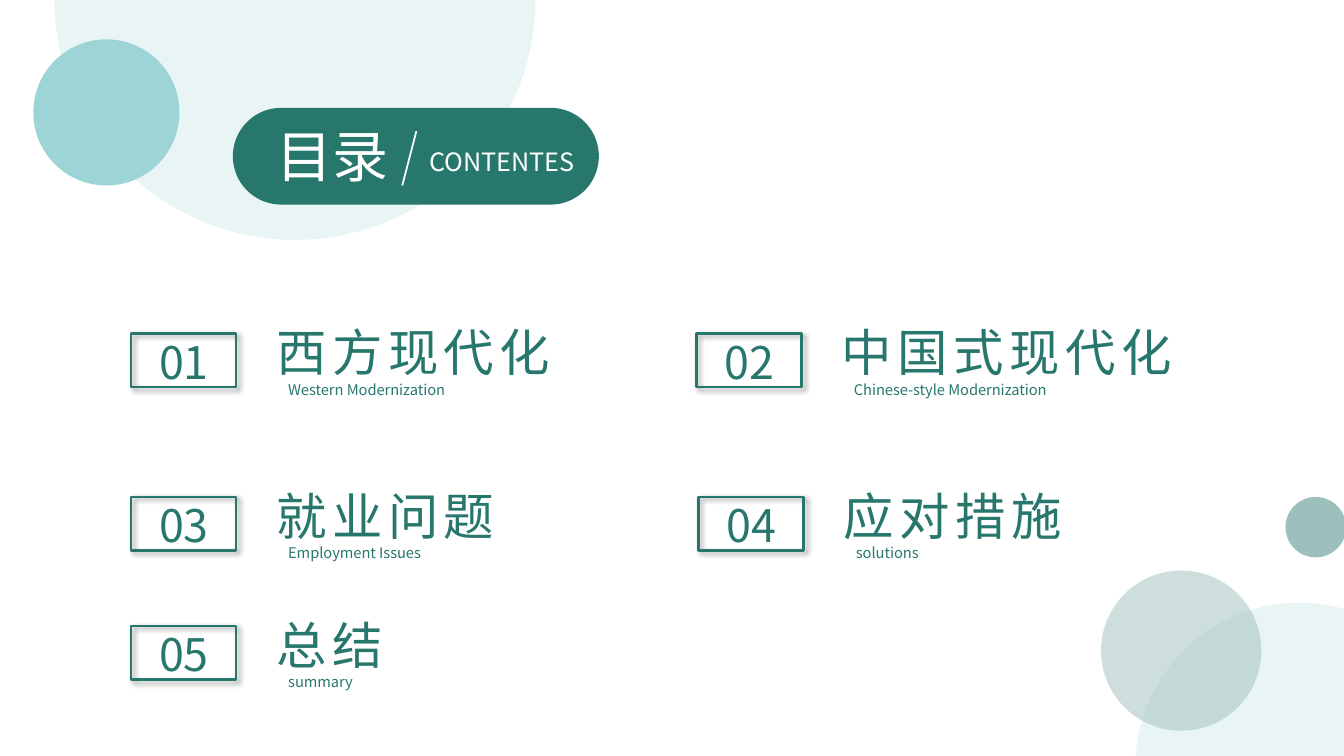
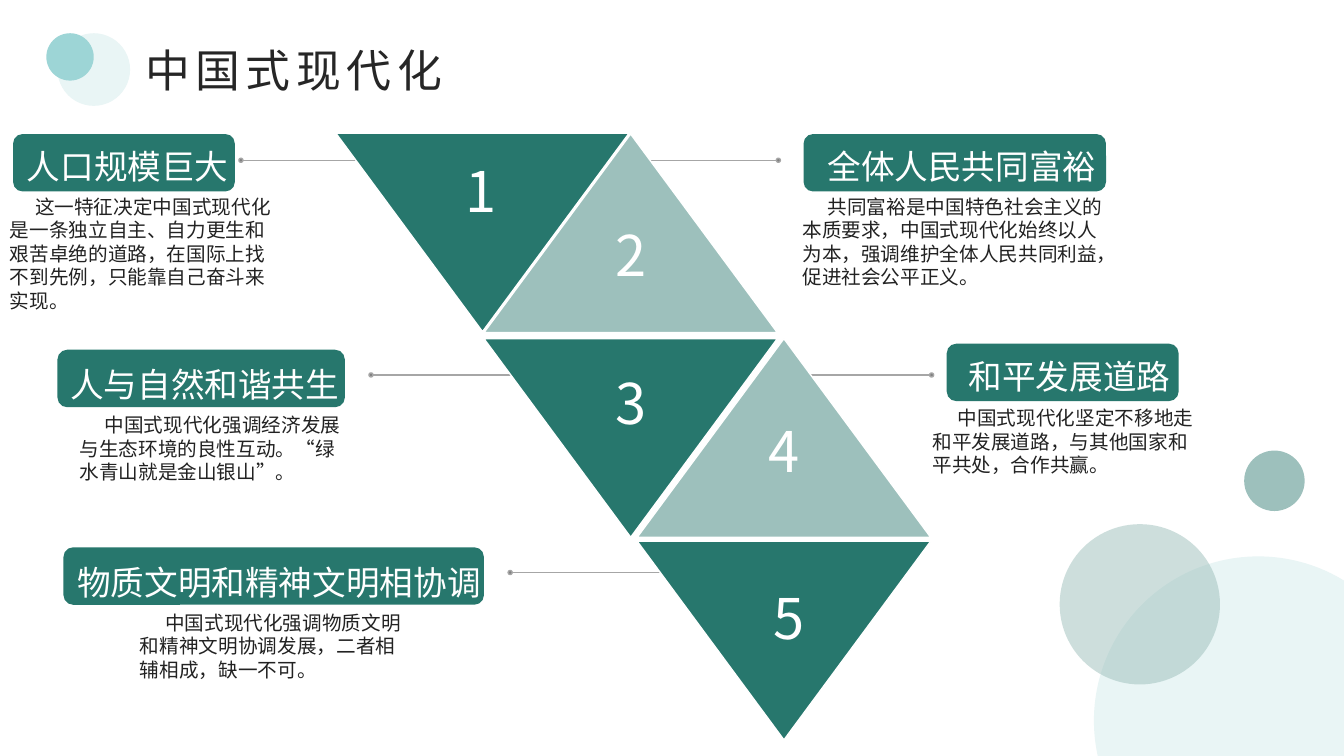
from lxml.etree import SubElement
from pptx import Presentation
from pptx.dml.color import RGBColor
from pptx.enum.lang import MSO_LANGUAGE_ID
from pptx.enum.shapes import MSO_CONNECTOR, MSO_SHAPE
from pptx.enum.text import MSO_ANCHOR, PP_ALIGN
from pptx.oxml.ns import qn
from pptx.util import Emu, Pt

EMU_PER_PX = 9144  # 100 px to the inch
FONT = "Noto Sans CJK SC"
COLORS = {
    "green": "27776D",
    "sage": "9DC0BC",
    "aqua": "9DD5D6",
    "mist": "E9F5F5",
    "title": "262626",
    "body": "222222",
    "line": "A6A6A6",
    "dot": "808080",
    "shadow": "000000",
    "white": "FFFFFF",
}

# left, top of the number frame, number, heading, English heading
CONTENTS = [
    (130, 331, "01", "西方现代化", "Western Modernization"),
    (691, 331, "02", "中国式现代化", "Chinese-style Modernization"),
    (130, 493, "03", "就业问题", "Employment Issues"),
    (693, 493, "04", "应对措施", "solutions"),
    (130, 621, "05", "总结", "summary"),
]

# dot end of the line, height, direction towards the triangles
POINTERS = [(926, 372, -1), (237, 159, 1), (366, 372, 1), (774, 159, -1), (504, 568, 1)]

# left, top, points up, number, number left, number top
TRIANGLES = [
    (480, 133, True, "2", 599, 214),
    (333, 132, False, "1", 451, 150),
    (480, 336, False, "3", 599, 361),
    (632, 336, True, "4", 751, 408),
    (632, 537, False, "5", 756, 574),
]

# label box, label text inset (left, top), label, body box, body
FEATURES = [
    ((13, 133, 220, 57), (11, 7), "人口规模巨大", (0, 188, 287, 128),
     "这一特征决定中国式现代化是一条独立自主、自力更生和艰苦卓绝的道路，"
     "在国际上找不到先例，只能靠自己奋斗来实现。"),
    ((57, 347, 285, 57), (10, 11), "人与自然和谐共生", (69, 405, 287, 81),
     "中国式现代化强调经济发展与生态环境的良性互动。“绿水青山就是金山银山”。"),
    ((797, 133, 300, 57), (21, 7), "全体人民共同富裕", (786, 188, 321, 104),
     "共同富裕是中国特色社会主义的本质要求，中国式现代化始终以人为本，"
     "强调维护全体人民共同利益，促进社会公平正义。"),
    ((939, 341, 230, 57), (19, 7), "和平发展道路", (915, 398, 287, 81),
     "中国式现代化坚定不移地走和平发展道路，与其他国家和平共处，合作共赢。"),
    ((63, 543, 417, 57), (11, 12), "物质文明和精神文明相协调", (129, 601, 287, 81),
     "中国式现代化强调物质文明和精神文明协调发展，二者相辅相成，缺一不可。"),
]


def px(length):
    return Emu(length * EMU_PER_PX)


def rgb(name):
    return RGBColor.from_string(COLORS[name])


def add_shape(slide, kind, box, fill=None, line=None, line_width=1):
    shape = slide.shapes.add_shape(kind, *map(px, box))
    shape.shadow.inherit = False
    if fill:
        shape.fill.solid()
        shape.fill.fore_color.rgb = rgb(fill)
    else:
        shape.fill.background()
    if line:
        shape.line.color.rgb = rgb(line)
        shape.line.width = Pt(line_width)
    else:
        shape.line.fill.background()
    return shape


def add_circle(slide, left, top, diameter, fill, line=None):
    return add_shape(slide, MSO_SHAPE.OVAL, (left, top, diameter, diameter), fill, line)


def add_line(slide, start, end, color, width):
    connector = slide.shapes.add_connector(
        MSO_CONNECTOR.STRAIGHT, *map(px, (*start, *end)))
    connector.line.color.rgb = rgb(color)
    connector.line.width = Pt(width)
    SubElement(connector._element.spPr, qn("a:effectLst"))


def write(shape, text, size, color, align=PP_ALIGN.LEFT, latin=FONT, spacing=0, indent=0):
    """Put one run of text in a shape; spacing is in points, indent in px."""
    paragraph = shape.text_frame.paragraphs[0]
    paragraph.alignment = align
    if indent:
        paragraph._p.get_or_add_pPr().set("indent", str(px(indent)))
    run = paragraph.add_run()
    run.text = text
    run.font.size = Pt(size)
    run.font.color.rgb = rgb(color)
    run.font.name = latin
    run.font.language_id = MSO_LANGUAGE_ID.SIMPLIFIED_CHINESE
    properties = run._r.get_or_add_rPr()
    SubElement(properties, qn("a:ea"), typeface=FONT)
    if spacing:
        properties.set("spc", str(spacing * 100))


def add_text(slide, box, text, size, color, wrap=True, **style):
    text_box = slide.shapes.add_textbox(*map(px, box))
    text_box.text_frame.word_wrap = wrap
    write(text_box, text, size, color, **style)


def set_alpha(shape, percent):
    color = shape._element.spPr.find(qn("a:solidFill"))[0]
    SubElement(color, qn("a:alpha"), val=str(percent * 1000))


def add_drop_shadow(shape):
    effects = shape._element.spPr.find(qn("a:effectLst"))
    shadow = SubElement(effects, qn("a:outerShdw"), blurRad=str(Pt(4)),
                        dist=str(Pt(3)), dir="2700000", algn="tl", rotWithShape="0")
    color = SubElement(shadow, qn("a:srgbClr"), val=COLORS["shadow"])
    SubElement(color, qn("a:alpha"), val="40000")


def add_corner_bubbles(slide, left, top):
    add_circle(slide, left + 34, top + 105, 326, "mist")
    add_circle(slide, left + 183, top, 60, "sage")
    set_alpha(add_circle(slide, left, top + 73, 159, "sage"), 51)


def add_contents_entry(slide, left, top, number, heading, english):
    frame = add_shape(slide, MSO_SHAPE.RECTANGLE, (left, top, 104, 53),
                      line="green", line_width=1.75)
    add_drop_shadow(frame)
    add_text(slide, (left + 3, top - 4, 99, 64), number, 32, "green",
             align=PP_ALIGN.CENTER)
    add_text(slide, (left + 134, top - 17, 378, 71), heading, 36, "green", spacing=4)
    add_text(slide, (left + 146, top + 42, 352, 28), english, 10.5, "green")


def add_pointer(slide, left, top, direction):
    add_line(slide, (left, top), (left + direction * 151, top), "line", 1)
    add_circle(slide, left + direction * 2 - 2, top - 2, 4, "dot", "line")


def add_triangle(slide, left, top, points_up, number, number_left, number_top):
    triangle = add_shape(slide, MSO_SHAPE.ISOSCELES_TRIANGLE, (left, top, 291, 197),
                         "sage" if points_up else "green", "white")
    triangle.rotation = 0 if points_up else 180
    add_text(slide, (number_left, number_top, 53, 77), number, 40, "white",
             wrap=False, align=PP_ALIGN.CENTER)


def add_feature(slide, label_box, inset, label, body_box, body):
    shape = add_shape(slide, MSO_SHAPE.ROUNDED_RECTANGLE, label_box, "green")
    frame = shape.text_frame
    frame.word_wrap = True
    frame.vertical_anchor = MSO_ANCHOR.MIDDLE
    frame.margin_left, frame.margin_top = map(px, inset)
    frame.margin_right = frame.margin_bottom = 0
    write(shape, label, 24, "white")
    add_text(slide, body_box, body, 14, "body", latin="Calibri", indent=25)


def build_contents(slide):
    add_circle(slide, 54, -239, 477, "mist")
    add_circle(slide, 33, 39, 145, "aqua")
    pill = add_shape(slide, MSO_SHAPE.ROUNDED_RECTANGLE, (231, 107, 363, 96), "green")
    pill.adjustments[0] = 0.5
    add_text(slide, (264, 116, 135, 77), "目录", 40, "white")
    add_line(slide, (399, 184), (413, 130), "white", 1.25)
    add_text(slide, (416, 140, 178, 40), "CONTENTES", 18, "white")
    add_corner_bubbles(slide, 1092, 493)
    for entry in CONTENTS:
        add_contents_entry(slide, *entry)


def build_features(slide):
    add_corner_bubbles(slide, 1051, 447)
    for pointer in POINTERS:
        add_pointer(slide, *pointer)
    for triangle in TRIANGLES:
        add_triangle(slide, *triangle)
    for feature in FEATURES:
        add_feature(slide, *feature)
    add_text(slide, (134, 37, 351, 64), "中国式现代化", 32, "title", spacing=4)
    add_circle(slide, 57, 33, 72, "mist")
    add_circle(slide, 46, 33, 47, "aqua")


def main():
    presentation = Presentation()
    presentation.slide_width = px(1333)
    presentation.slide_height = px(750)
    for build in (build_contents, build_features):
        build(presentation.slides.add_slide(presentation.slide_layouts[6]))
    presentation.save("out.pptx")


if __name__ == "__main__":
    main()
